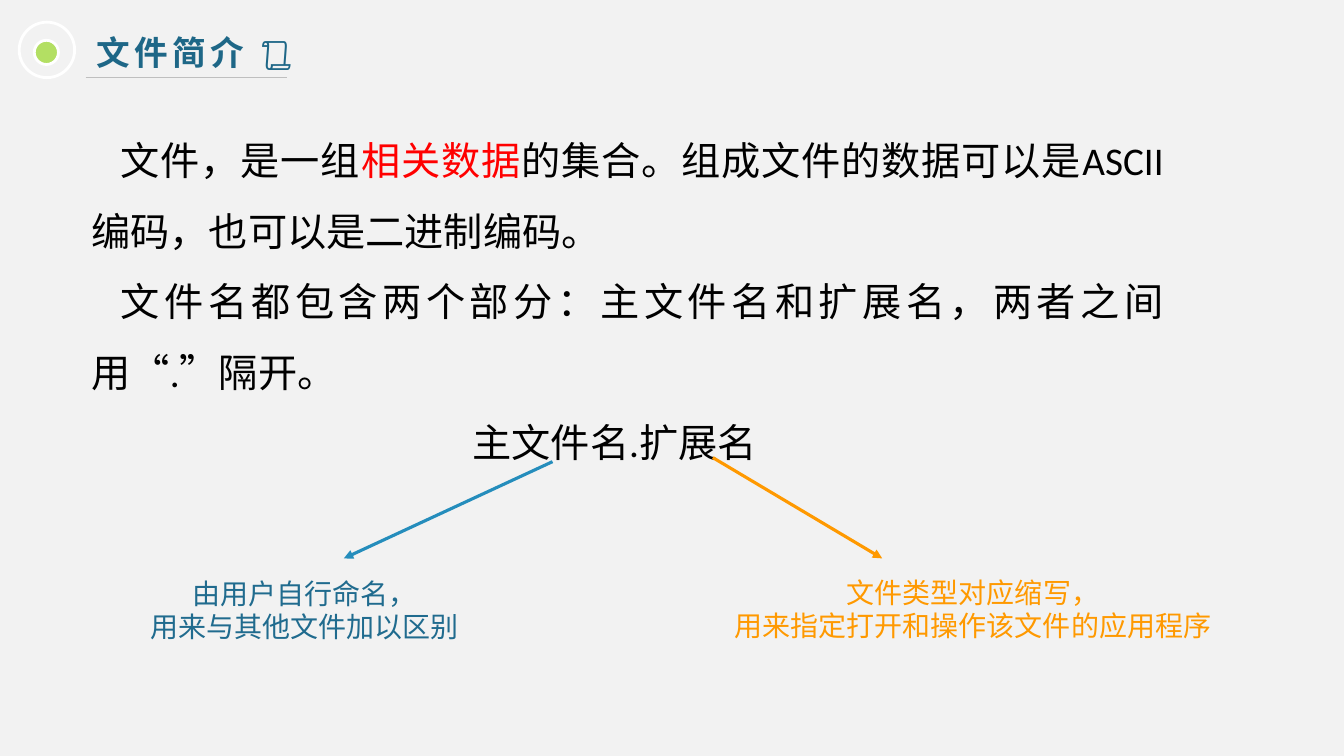
import pptx
import pptx.util
import pptx.dml.color
import pptx.enum.shapes
import pptx.enum.text
import pptx.oxml
import pptx.oxml.ns
import lxml.etree

Inches = pptx.util.Inches
Pt = pptx.util.Pt
RGB = pptx.dml.color.RGBColor.from_string
ALIGN = pptx.enum.text.PP_ALIGN
ANCHOR = pptx.enum.text.MSO_ANCHOR
qn = pptx.oxml.ns.qn

COLORS = {
    "background": "F2F2F2", "title": "1E6787", "green": "B3DF63",
    "white": "FFFFFF", "rule": "BFBFBF", "black": "000000", "red": "FF0000",
    "name": "206B8E", "name_arrow": "258DBC", "extension": "FF9900",
}
CJK = "Noto Sans CJK SC"

prs = pptx.Presentation()
prs.slide_width, prs.slide_height = Inches(13.33), Inches(7.5)
s = prs.slides.add_slide(prs.slide_layouts[6])
s.background.fill.solid()
s.background.fill.fore_color.rgb = RGB(COLORS["background"])


def add_text(box, paragraphs, size, font="Calibri", bold=False, spacing=0,
             align=ALIGN.LEFT, anchor=ANCHOR.TOP, line_spacing=None, indents=None):
    tf = s.shapes.add_textbox(*map(Inches, box)).text_frame
    tf.word_wrap = True
    tf.vertical_anchor = anchor
    for i, runs in enumerate(paragraphs):
        p = tf.paragraphs[0] if i == 0 else tf.add_paragraph()
        p.alignment = align
        if line_spacing:
            p.line_spacing = line_spacing
        if indents:
            p._p.get_or_add_pPr().set("indent", str(Inches(indents[i])))
        for text, color in runs:
            r = p.add_run()
            r.text = text
            r.font.size, r.font.bold, r.font.name = Pt(size), bold, font
            r.font.color.rgb = RGB(COLORS[color])
            rPr = r._r.get_or_add_rPr()
            rPr.set("lang", "zh-CN")
            if spacing:
                rPr.set("spc", str(spacing * 100))
            lxml.etree.SubElement(rPr, qn("a:ea")).set("typeface", CJK)


def add_line(start, end, color, width, arrow=False):
    line = s.shapes.add_connector(pptx.enum.shapes.MSO_CONNECTOR.STRAIGHT,
                                  *map(Inches, start + end))
    line.line.color.rgb = RGB(COLORS[color])
    line.line.width = Pt(width)
    if arrow:
        ln = line.line._get_or_add_ln()
        lxml.etree.SubElement(ln, qn("a:tailEnd")).set("type", "triangle")
    lxml.etree.SubElement(line._element.spPr, qn("a:effectLst"))


add_text((0.86, 0.27, 6.45, 0.5), [[("文件简介 📜", "title")]], 24,
         font=CJK, bold=True, spacing=3)

for left, top, diameter, fill in [(0.34, 0.4, 0.24, "green"), (0.19, 0.22, 0.55, None)]:
    sp = s.shapes.add_shape(pptx.enum.shapes.MSO_SHAPE.OVAL,
                            *map(Inches, (left, top, diameter, diameter)))
    sp.shadow.inherit = False
    if fill:
        sp.fill.solid()
        sp.fill.fore_color.rgb = RGB(COLORS[fill])
    else:
        sp.fill.background()
    sp.line.color.rgb = RGB(COLORS["white"])
    sp.line.width = Pt(2)

add_line((0.85, 0.77), (2.85, 0.77), "rule", 0.75)

add_text((0.81, 1.07, 10.83, 6.38), [
    [("文件，是一组", "black"), ("相关数据", "red"),
     ("的集合。组成文件的数据可以是ASCII编码，也可以是二进制编码。", "black")],
    [("文件名都包含两个部分：主文件名和扩展名，两者之间用“.”隔开。", "black")],
    [("主文件名.扩展名", "black")],
], 28, align=ALIGN.JUSTIFY, line_spacing=1.5, indents=[0.29, 0.29, 3.78])

for box, lines, color in [
    ((0.58, 5.55, 4.88, 1), ["由用户自行命名，", "用来与其他文件加以区别"], "name"),
    ((7.07, 5.54, 5.16, 1), ["文件类型对应缩写，", "用来指定打开和操作该文件的应用程序"], "extension"),
]:
    add_text(box, [[(text, color)] for text in lines], 20,
             align=ALIGN.CENTER, anchor=ANCHOR.MIDDLE)

add_line((5.48, 4.58), (3.41, 5.54), "name_arrow", 2.25, arrow=True)
add_line((7.07, 4.54), (8.75, 5.54), "extension", 2.25, arrow=True)

prs.save("out.pptx")
